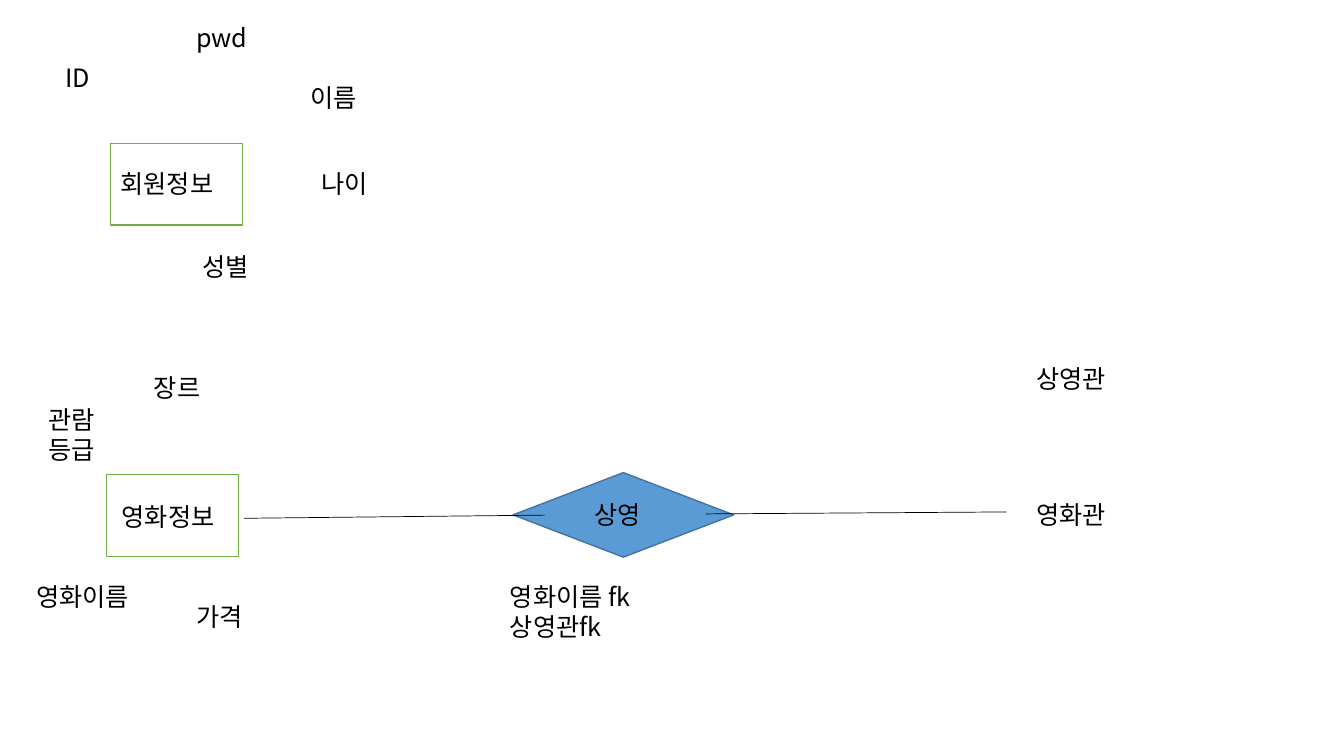
from lxml.etree import SubElement
from pptx import Presentation
from pptx.dml.color import RGBColor
from pptx.enum.shapes import MSO_CONNECTOR as Link, MSO_SHAPE as Kind
from pptx.enum.text import MSO_AUTO_SIZE as Fit
from pptx.oxml.ns import qn
from pptx.util import Cm, Pt

BLACK = RGBColor(0, 0, 0)
WHITE = RGBColor(255, 255, 255)
GREEN = RGBColor(0x70, 0xAD, 0x47)
BLUE = RGBColor(0x5B, 0x9B, 0xD5)
NAVY = RGBColor(0x43, 0x73, 0x9E)
FONT = "Noto Sans CJK KR"

LABELS = [
    ("회원정보", 2.79, 4.11, 3.81),
    ("영화정보", 2.82, 12.52, 4.04),
    ("영화관", 25.86, 12.47, 3.76),
    ("상영", 14.73, 12.45, 2.06),
    ("ID", 1.4, 1.45, 1.32),
    ("pwd", 4.7, 0.43, 2.87),
    ("이름", 7.57, 1.96, 2.39),
    ("나이", 7.85, 4.11, 2.39),
    ("성별", 4.85, 6.2, 2.39),
    ("영화이름", 0.66, 14.53, 3.66),
    ("관람등급", 0.97, 10.06, 2.16),
    ("장르", 3.63, 9.25, 2.16),
    ("상영관", 25.86, 9.02, 2.79),
    ("가격", 4.7, 15.04, 2.87),
    ("영화이름 fk\n상영관fk", 12.6, 14.53, 6.5),
]


def add_node(slide, kind, left, top, width, height, fill, edge):
    """Draw an entity or relation outline."""
    node = slide.shapes.add_shape(kind, Cm(left), Cm(top), Cm(width), Cm(height))
    node.shadow.inherit = False
    node.fill.solid()
    node.fill.fore_color.rgb = fill
    node.line.color.rgb = edge
    node.line.width = Pt(1)


def add_text(slide, text, left, top, width, size=18, color=BLACK, font=FONT):
    """Place a wrapped label, one paragraph per line."""
    box = slide.shapes.add_textbox(Cm(left), Cm(top), Cm(width), Cm(1.02))
    frame = box.text_frame
    frame.word_wrap = True
    frame.auto_size = Fit.SHAPE_TO_FIT_TEXT
    frame.text = text
    for para in frame.paragraphs:
        for run in para.runs:
            run.font.size = Pt(size)
            run.font.color.rgb = color
            run.font.name = font
            SubElement(run.font._element, qn("a:ea"), typeface=font)


def add_link(slide, x1, y1, x2, y2):
    """Draw a thin straight line."""
    link = slide.shapes.add_connector(Link.STRAIGHT, Cm(x1), Cm(y1), Cm(x2), Cm(y2))
    link.line.color.rgb = BLACK
    link.line.width = Pt(0.5)
    SubElement(link._element.spPr, qn("a:effectLst"))


def main():
    """Build the cinema entity diagram."""
    deck = Presentation()
    deck.slide_width, deck.slide_height = Cm(33.87), Cm(19.05)
    slide = deck.slides.add_slide(deck.slide_layouts[6])
    add_node(slide, Kind.FLOWCHART_DECISION, 12.93, 11.91, 5.56, 2.13, BLUE, NAVY)
    for left, top in ((2.79, 3.61), (2.69, 11.96)):
        add_node(slide, Kind.RECTANGLE, left, top, 3.33, 2.06, WHITE, GREEN)
    for label in LABELS:
        add_text(slide, *label)
    add_link(slide, 6.15, 13.06, 13.74, 12.98)
    add_link(slide, 17.78, 12.95, 25.37, 12.9)
    deck.save("out.pptx")


if __name__ == "__main__":
    main()
